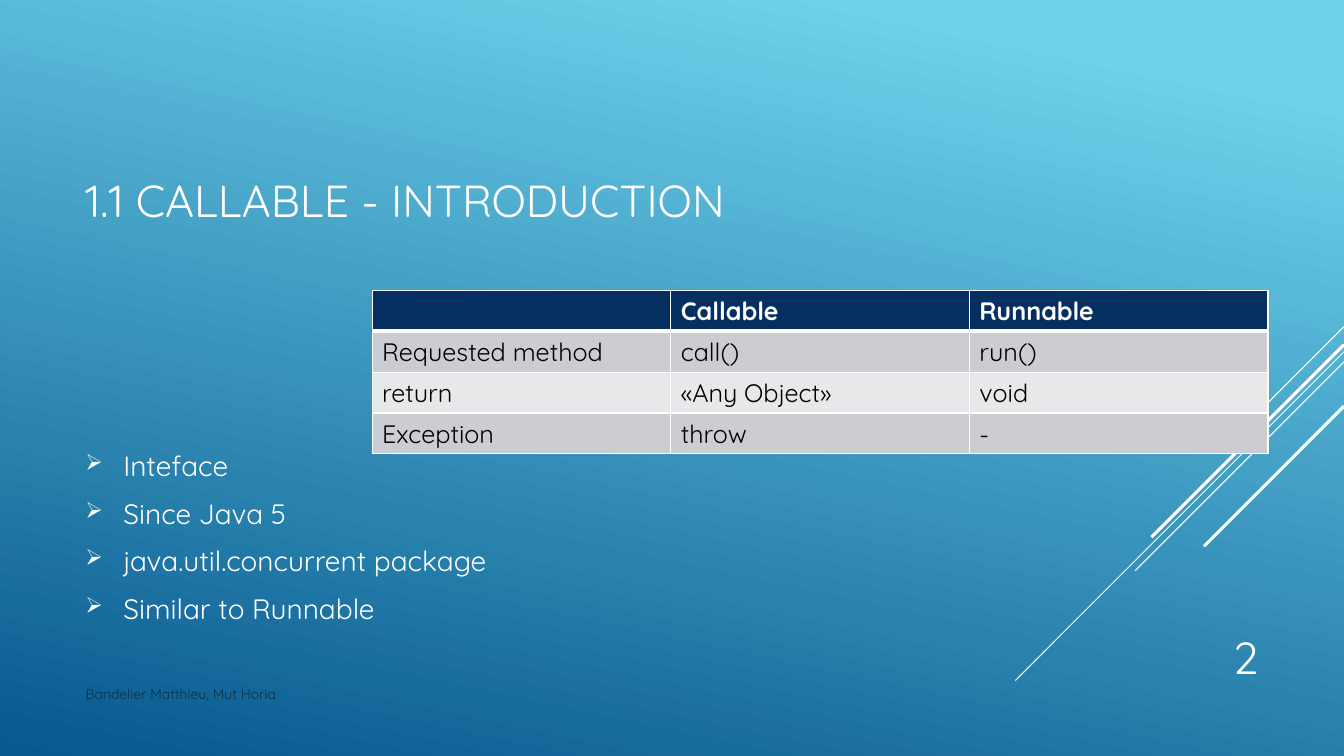
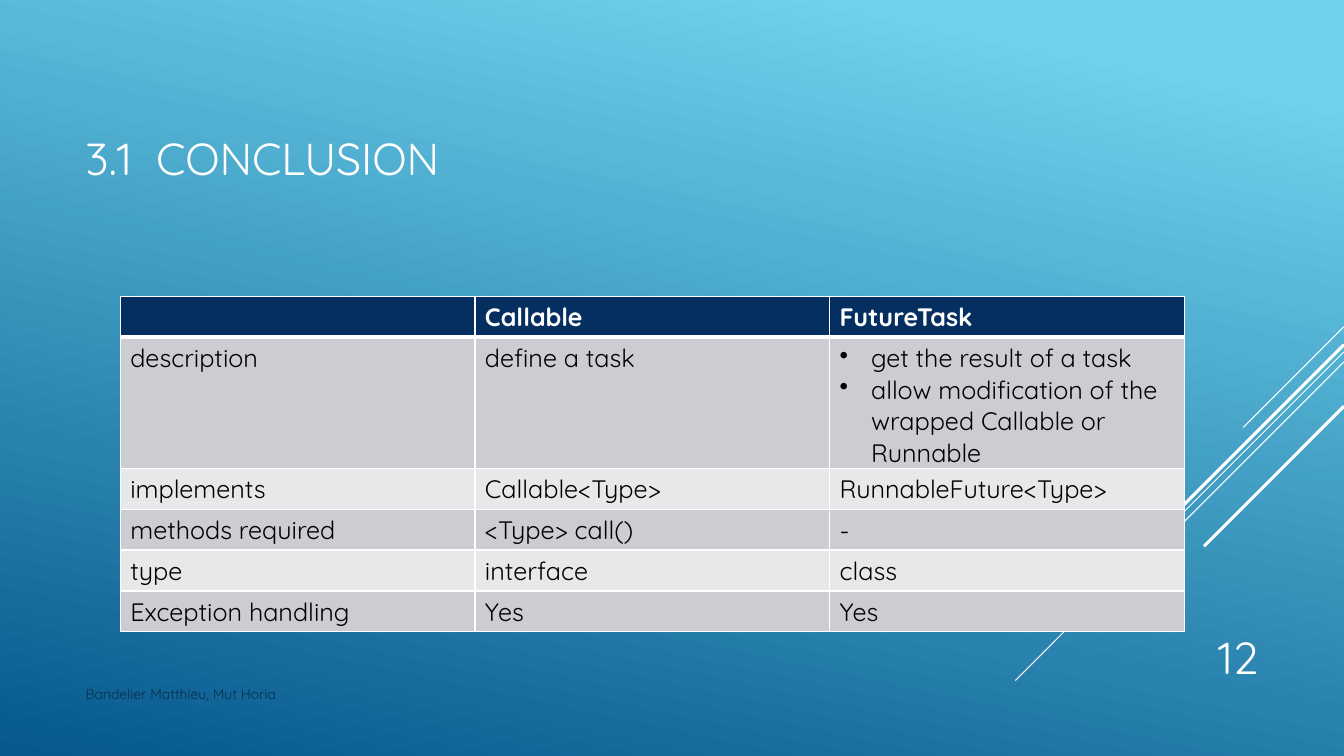
import pptx
import pptx.util
import pptx.dml.color
import pptx.enum.shapes
import pptx.enum.text
import pptx.oxml
import pptx.oxml.ns
import lxml.etree

Pt = pptx.util.Pt
ALIGN = pptx.enum.text.PP_ALIGN
ANCHOR = pptx.enum.text.MSO_ANCHOR
WIDTH, HEIGHT = 960, 540
MARGIN = 54
FONT = "Quicksand"
COLORS = {
    "sky": "6ED2EB", "deep": "06588E", "white": "FFFFFF", "black": "000000",
    "footer": "0A304A", "header": "052F61", "odd": "CCCDD2", "even": "E7E8EA",
}
# Diagonals run down-left at 45 degrees from the right edge: top, extent, weight
DIAGONALS = [(233.3, 72, 0.75), (251.3, 234.7, 0.75), (258.5, 149.2, 0.75),
             (246.2, 137.5, 2.25), (290.2, 100, 2.25)]


def rgb(name):
    """Return the named colour."""
    return pptx.dml.color.RGBColor.from_string(COLORS[name])


def add_xml(parent, tag, **attrs):
    """Append a DrawingML element to parent and return it."""
    return lxml.etree.SubElement(parent, pptx.oxml.ns.qn("a:" + tag), attrs)


def style(p, size, color, bold=False):
    """Set the font of a whole paragraph."""
    p.font.name = FONT
    p.font.size = Pt(size)
    p.font.bold = bold
    p.font.color.rgb = rgb(color)


def add_bullet(p, char, indent, color=None, percent=100):
    """Give a paragraph a hanging bullet."""
    pPr = p._p.get_or_add_pPr()
    pPr.set("marL", str(Pt(indent)))
    pPr.set("indent", str(-Pt(indent)))
    if color:
        add_xml(add_xml(pPr, "buClr"), "srgbClr", val=COLORS[color])
    add_xml(pPr, "buSzPct", val=str(percent * 1000))
    add_xml(pPr, "buChar", char=char)


def add_box(s, left, top, width, height, anchor):
    """Add a wrapping text box and return its text frame."""
    tf = s.shapes.add_textbox(Pt(left), Pt(top), Pt(width), Pt(height)).text_frame
    tf.word_wrap = True
    tf.vertical_anchor = anchor
    return tf


def add_line_text(s, text, box, anchor, size, color, align=ALIGN.LEFT):
    """Add a one-paragraph text box and return the paragraph."""
    p = add_box(s, *box, anchor).paragraphs[0]
    p.text = text
    p.alignment = align
    style(p, size, color)
    return p


def add_title(s, number, text, top, height, tab):
    """Add a numbered title, its words starting at a tab stop."""
    p = add_line_text(s, f"{number}\t{text}", (MARGIN, top, 792, height),
                      ANCHOR.MIDDLE, 32, "white")
    tabs = add_xml(p._p.pPr, "tabLst")
    add_xml(tabs, "tab", pos=str(Pt(tab)), algn="l")
    p._p.pPr.insert(0, tabs)


def add_bullets(s, items):
    """Add the arrow-bulleted list."""
    tf = add_box(s, MARGIN, 324, 672.5, 148.3, ANCHOR.MIDDLE)
    tf.margin_bottom = Pt(33)
    for i, item in enumerate(items):
        p = tf.add_paragraph() if i else tf.paragraphs[0]
        p.text = item
        p.space_before, p.space_after = Pt(4), Pt(6)
        add_bullet(p, "➢", 27, "white", 80)
        style(p, 20, "white")


def add_borders(cell, bottom):
    """Draw white borders around a cell."""
    tcPr = cell._tc.get_or_add_tcPr()
    for side, weight in (("L", 1), ("R", 1), ("T", 1), ("B", bottom)):
        ln = add_xml(tcPr, "ln" + side, w=str(Pt(weight)))
        add_xml(add_xml(ln, "solidFill"), "srgbClr", val=COLORS["white"])


def fill_cell(cell, content, row):
    """Write and style a cell; a list becomes bulleted paragraphs."""
    header = row == 0
    add_borders(cell, 3 if header else 1)
    cell.fill.solid()
    cell.fill.fore_color.rgb = rgb("header" if header else "odd" if row % 2 else "even")
    bulleted = isinstance(content, list)
    cell.text = "\n".join(content) if bulleted else content
    for p in cell.text_frame.paragraphs:
        if bulleted:
            add_bullet(p, "•", 22.5)
        style(p, 18, "white" if header else "black", header)


def add_grid(s, rows, left, top, width):
    """Add a table with equal columns and banded rows."""
    row_height = 29.2
    table = s.shapes.add_table(len(rows), len(rows[0]), Pt(left), Pt(top),
                               Pt(width), Pt(row_height * len(rows))).table
    for r, row in enumerate(rows):
        table.rows[r].height = Pt(row_height)
        for c, content in enumerate(row):
            fill_cell(table.cell(r, c), content, r)


def add_diagonals(s):
    """Draw the diagonal lines at the right edge."""
    for top, extent, weight in DIAGONALS:
        line = s.shapes.add_connector(
            pptx.enum.shapes.MSO_CONNECTOR.STRAIGHT,
            Pt(WIDTH), Pt(top), Pt(WIDTH - extent), Pt(top + extent))
        line.line.color.rgb = rgb("white")
        line.line.width = Pt(weight)
        add_xml(line._element.spPr, "effectLst")


def set_background(master):
    """Give every slide the blue gradient."""
    fill = master.background.fill
    fill.gradient()
    fill.gradient_angle = 258
    for stop, position, color in zip(fill.gradient_stops, (0.1, 1), ("sky", "deep")):
        stop.position = position
        stop.color.rgb = rgb(color)


def new_slide(prs, number):
    """Add a slide with diagonals, footer and slide number."""
    s = prs.slides.add_slide(prs.slide_layouts[6])
    add_diagonals(s)
    add_line_text(s, "Bandelier Matthieu, Mut Horia", (MARGIN, 486, 594, 28.8),
                  ANCHOR.TOP, 10, "footer")
    add_line_text(s, str(number), (815.8, 439.2, 90, 52.6),
                  ANCHOR.BOTTOM, 32, "white", ALIGN.RIGHT)
    return s


def main():
    """Build and save the presentation."""
    prs = pptx.Presentation()
    prs.slide_width, prs.slide_height = Pt(WIDTH), Pt(HEIGHT)
    set_background(prs.slide_master)

    s = new_slide(prs, 2)
    add_title(s, "1.1", "CALLABLE - INTRODUCTION", 34.6, 216, 36)
    add_bullets(s, ["Inteface", "Since Java 5", "java.util.concurrent package",
                    "Similar to Runnable"])
    add_grid(s, [
        ("", "Callable", "Runnable"),
        ("Requested method", "call()", "run()"),
        ("return", "«Any Object»", "void"),
        ("Exception", "throw", "-"),
    ], 265.8, 207.4, 640)

    s = new_slide(prs, 12)
    add_title(s, "3.1", "CONCLUSION", 54, 116.6, 50.4)
    add_grid(s, [
        ("", "Callable", "FutureTask"),
        ("description", "define a task",
         ["get the result of a task",
          "allow modification of the wrapped Callable or Runnable"]),
        ("implements", "Callable<Type>", "RunnableFuture<Type>"),
        ("methods required", "<Type> call()", "-"),
        ("type", "interface", "class"),
        ("Exception handling", "Yes", "Yes"),
    ], 85.9, 211.7, 760)

    prs.save("out.pptx")


main()
